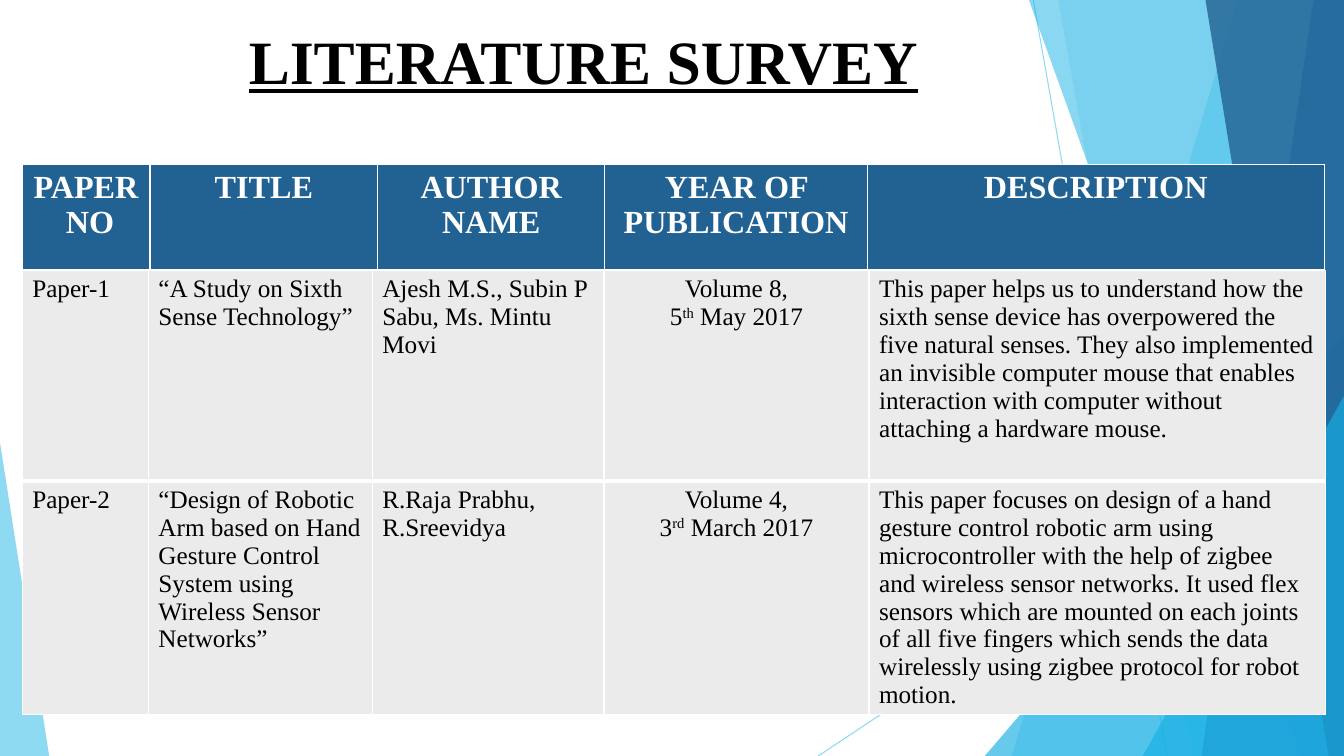
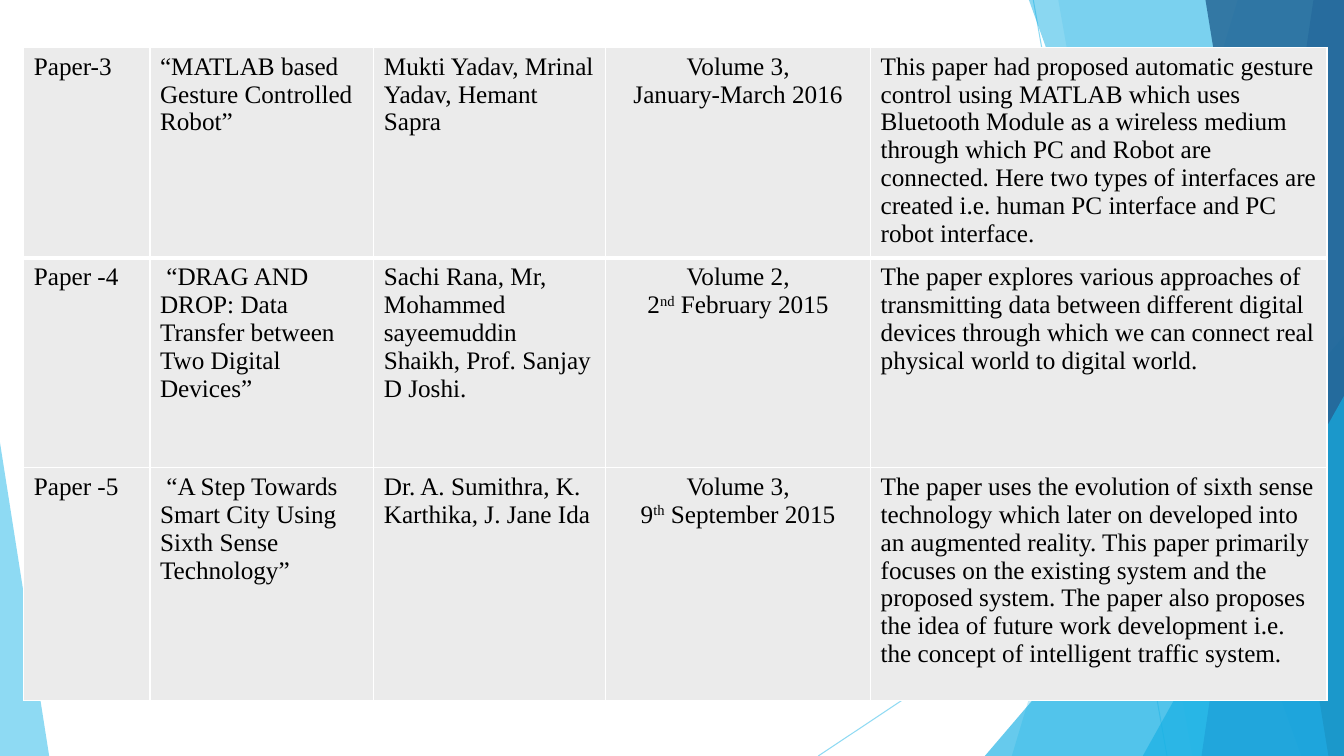
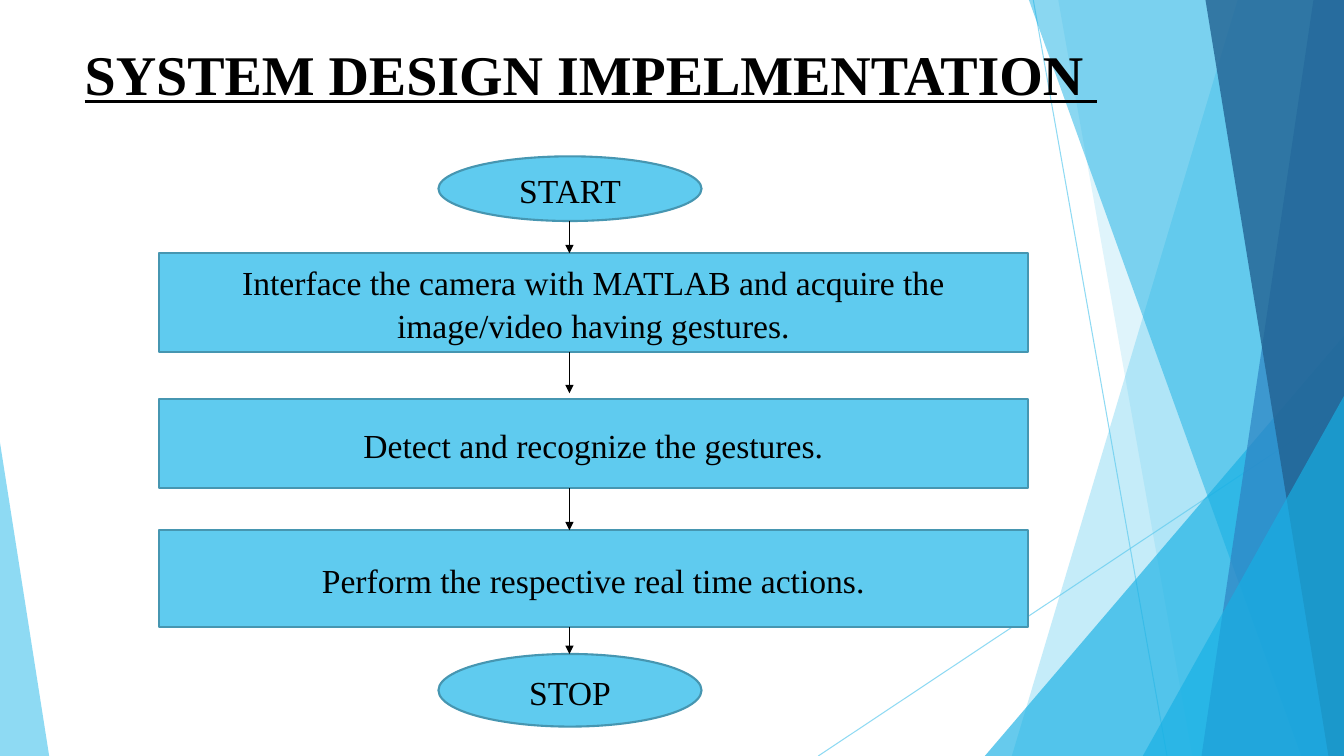
"""Build three slides: a literature survey in tables and a system design flowchart."""
from lxml.etree import SubElement
from pptx import Presentation
from pptx.dml.color import RGBColor
from pptx.enum.shapes import MSO_CONNECTOR, MSO_SHAPE
from pptx.enum.text import MSO_ANCHOR, PP_ALIGN
from pptx.oxml.ns import qn
from pptx.util import Cm, Pt

FONT = "Times New Roman"
BLACK = RGBColor(0x00, 0x00, 0x00)
WHITE = RGBColor(0xFF, 0xFF, 0xFF)
GREY = RGBColor(0xEB, 0xEB, 0xEB)
SKY = RGBColor(0x5F, 0xCB, 0xEF)
CYAN = RGBColor(0x17, 0xB0, 0xE4)
BLUE = RGBColor(0x2E, 0x83, 0xC3)
NAVY = RGBColor(0x22, 0x62, 0x92)
TEAL = RGBColor(0x46, 0x96, 0xB1)
WIDTH, HEIGHT = 33.87, 19.05


def style_text(para, size, colour, align, bold=False, underline=False):
    para.alignment = align
    for span in para.runs:
        span.font.name = FONT
        span.font.size = Pt(size)
        span.font.color.rgb = colour
        span.font.bold = bold
        span.font.underline = underline


def draw_table(slide, left, top, widths, heights, rows, fill, size, colour, centred, bold=False):
    frame = slide.shapes.add_table(len(rows), len(widths), Cm(left), Cm(top),
                                   Cm(sum(widths)), Cm(sum(heights)))
    table = frame.table
    table.first_row = False
    table.horz_banding = False
    for column, width in zip(table.columns, widths):
        column.width = Cm(width)
    for row_index, texts in enumerate(rows):
        table.rows[row_index].height = Cm(heights[row_index])
        borders = {"L": 1, "R": 1, "T": 3 if row_index == 1 else 1, "B": 3 if row_index == 0 else 1}
        for column_index, text in enumerate(texts):
            cell = table.cell(row_index, column_index)
            properties = cell._tc.get_or_add_tcPr()
            for side, points in borders.items():
                line = SubElement(properties, qn(f"a:ln{side}"), w=str(Pt(points)))
                SubElement(SubElement(line, qn("a:solidFill")), qn("a:srgbClr"), val=str(WHITE))
            cell.fill.solid()
            cell.fill.fore_color.rgb = fill
            cell.text_frame.text = text
            align = PP_ALIGN.CENTER if column_index in centred else PP_ALIGN.LEFT
            for para in cell.text_frame.paragraphs:
                pieces = para.text.split("^")
                para.text = pieces[0]
                for piece in pieces[1:]:
                    para.add_run().text = piece
                style_text(para, size, colour, align, bold)
                for ordinal in para.runs[1::2]:
                    ordinal._r.get_or_add_rPr().set("baseline", "30000")


deck = Presentation()
deck.slide_width, deck.slide_height = Cm(WIDTH), Cm(HEIGHT)
title_only, blank = deck.slide_layouts[5], deck.slide_layouts[6]
survey, survey_more, design = [deck.slides.add_slide(layout)
                               for layout in (title_only, blank, title_only)]

backdrop = survey.shapes.add_group_shape()
faded = []
for ends in [(26.04, 0, 29.41, HEIGHT), (WIDTH, 10.24, 20.62, HEIGHT)]:
    ray = backdrop.shapes.add_connector(MSO_CONNECTOR.STRAIGHT, *[Cm(end) for end in ends])
    ray.line.color.rgb = SKY
    ray.line.width = Pt(0.75)
    SubElement(ray.element.spPr, qn("a:effectLst"))
    faded.append((ray, 70))

facets = [
    (SKY, 36, (31.19, 25.5)),
    (SKY, 20, (26.67, 30.05)),
    (CYAN, 66, (24.82, 8.46, 9.05, 1)),
    (CYAN, 50, (25.93, 32.79)),
    (BLUE, 70, (33.1, 30.28)),
    (NAVY, 80, (30.38, 33.48)),
    (CYAN, 66, (28.8, 9.98, 5.07, 1)),
    (SKY, 70, (0, 11.15, 1.24, 0)),
]
for colour, opacity, outline in facets:
    if len(outline) == 2:
        top_x, bottom_x = outline
        builder = backdrop.shapes.build_freeform(Cm(top_x), 0)
        builder.add_line_segments([(Cm(WIDTH), 0), (Cm(WIDTH), Cm(HEIGHT)), (Cm(bottom_x), Cm(HEIGHT))])
        facet = builder.convert_to_shape()
    else:
        left, top, width, apex = outline
        facet = backdrop.shapes.add_shape(MSO_SHAPE.ISOSCELES_TRIANGLE, Cm(left), Cm(top),
                                          Cm(width), Cm(HEIGHT - top))
        facet.adjustments[0] = apex
    facet.fill.solid()
    facet.fill.fore_color.rgb = colour
    facet.line.fill.background()
    facet.shadow.inherit = False
    faded.append((facet, opacity))

for shape, opacity in faded:
    for tint in shape.element.spPr.iter(qn("a:srgbClr")):
        SubElement(tint, qn("a:alpha"), val=str(opacity * 1000))
for number, identity in enumerate(backdrop.element.iter(qn("p:cNvPr")), 101):
    identity.set("id", str(number))
deck.slide_master.shapes.element.insert(2, backdrop.element)

titles = [
    (survey, "LITERATURE SURVEY", 44, PP_ALIGN.CENTER, MSO_ANCHOR.MIDDLE, (2.77, 0.3, 23.88, 2.41)),
    (design, "SYSTEM DESIGN IMPELMENTATION ", 40, PP_ALIGN.LEFT, MSO_ANCHOR.TOP, (1.88, 0.86, 27.28, 3.66)),
]
for slide, text, size, align, anchor, place in titles:
    title = slide.shapes.title
    title.left, title.top, title.width, title.height = [Cm(length) for length in place]
    title.text_frame.text = text
    title.text_frame.vertical_anchor = anchor
    style_text(title.text_frame.paragraphs[0], size, BLACK, align, bold=True, underline=True)

headings = ["PAPER \n NO", "TITLE", "AUTHOR NAME", "YEAR OF PUBLICATION", "DESCRIPTION"]
draw_table(survey, 0.56, 4.14, [3.22, 5.74, 5.72, 6.63, 11.5], [2.69], [headings],
           NAVY, 23, WHITE, range(5), bold=True)

first_papers = [
    ["Paper-1", "“A Study on Sixth Sense Technology”",
     "Ajesh M.S., Subin P Sabu, Ms. Mintu Movi", "Volume 8,\n5^th^ May 2017",
     "This paper helps us to understand how the sixth sense device has overpowered the five "
     "natural senses. They also implemented an invisible computer mouse that enables interaction "
     "with computer without attaching a hardware mouse."],
    ["Paper-2",
     "“Design of Robotic Arm based on Hand Gesture Control System using Wireless Sensor Networks”",
     "R.Raja Prabhu, R.Sreevidya", "Volume 4,\n3^rd^ March 2017",
     "This paper focuses on design of a hand gesture control robotic arm using microcontroller "
     "with the help of zigbee and wireless sensor networks. It used flex sensors which are mounted "
     "on each joints of all five fingers which sends the data wirelessly using zigbee protocol for "
     "robot motion."],
]
more_papers = [
    ["Paper-3", "“MATLAB based Gesture Controlled Robot”",
     "Mukti Yadav, Mrinal Yadav, Hemant Sapra", "Volume 3,\nJanuary-March 2016",
     "This paper had proposed automatic gesture control using MATLAB which uses Bluetooth Module "
     "as a wireless medium through which PC and Robot are connected. Here two types of interfaces "
     "are created i.e. human PC interface and PC robot interface."],
    ["Paper -4", " “DRAG AND DROP: Data Transfer between Two Digital Devices”",
     "Sachi Rana, Mr, Mohammed sayeemuddin Shaikh, Prof. Sanjay D Joshi.",
     "Volume 2,\n2^nd^ February 2015",
     "The paper explores various approaches of transmitting data between different digital devices "
     "through which we can connect real physical world to digital world."],
    ["Paper -5", " “A Step Towards Smart City Using Sixth Sense Technology”",
     "Dr. A. Sumithra, K. Karthika, J. Jane Ida", "Volume 3,\n9^th^ September 2015",
     "The paper uses the evolution of sixth sense technology which later on developed into an "
     "augmented reality. This paper primarily focuses on the existing system and the proposed "
     "system. The paper also proposes the idea of future work development i.e. the concept of "
     "intelligent traffic system."],
]
paper_widths = [3.18, 5.64, 5.84, 6.68, 11.5]
for slide, left, top, heights, papers in [
    (survey, 0.56, 6.81, [5.31, 5.89], first_papers),
    (survey_more, 0.6, 1.2, [5.31, 5.28, 5.87], more_papers),
]:
    draw_table(slide, left, top, paper_widths, heights, papers, GREY, 18, BLACK, [3])

terminal = (MSO_SHAPE.OVAL, 11.05, 6.63)
process = (MSO_SHAPE.RECTANGLE, 4.01, 21.89)
steps = [
    ("START", terminal, 3.94, 1.63),
    ("Interface the camera with MATLAB and acquire the image/video having gestures.", process, 6.38, 2.49),
    ("Detect and recognize the gestures.", process, 10.06, 2.24),
    ("Perform the respective real time actions.", process, 13.36, 2.44),
    ("STOP", terminal, 16.48, 1.83),
]
boxes = []
for text, (kind, left, width), top, height in steps:
    box = design.shapes.add_shape(kind, Cm(left), Cm(top), Cm(width), Cm(height))
    box.shadow.inherit = False
    box.fill.solid()
    box.fill.fore_color.rgb = SKY
    box.line.color.rgb = TEAL
    box.line.width = Pt(1.5)
    box.text_frame.text = text
    para = box.text_frame.paragraphs[0]
    para.line_spacing = 1.07
    para.space_after = Pt(8)
    style_text(para, 24, BLACK, PP_ALIGN.CENTER)
    boxes.append(box)

flow_x = Cm(14.35)
for box, arrow_end in zip(boxes, [6.38, 9.91, 13.36, 16.48]):
    arrow = design.shapes.add_connector(MSO_CONNECTOR.STRAIGHT, flow_x, box.top + box.height,
                                        flow_x, Cm(arrow_end))
    arrow.line.color.rgb = BLACK
    arrow.line.width = Pt(1)
    SubElement(arrow.line._get_or_add_ln(), qn("a:tailEnd"), type="triangle")
    SubElement(arrow.element.spPr, qn("a:effectLst"))

deck.save("out.pptx")
